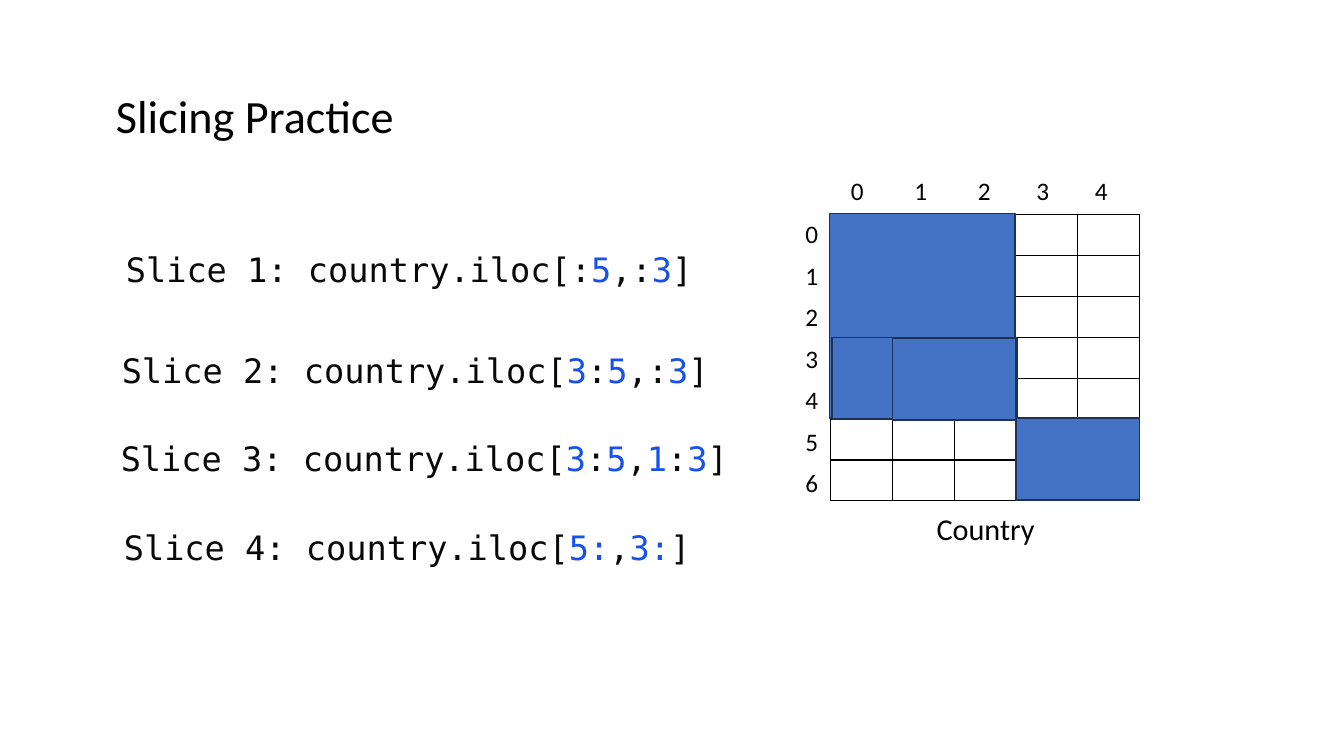
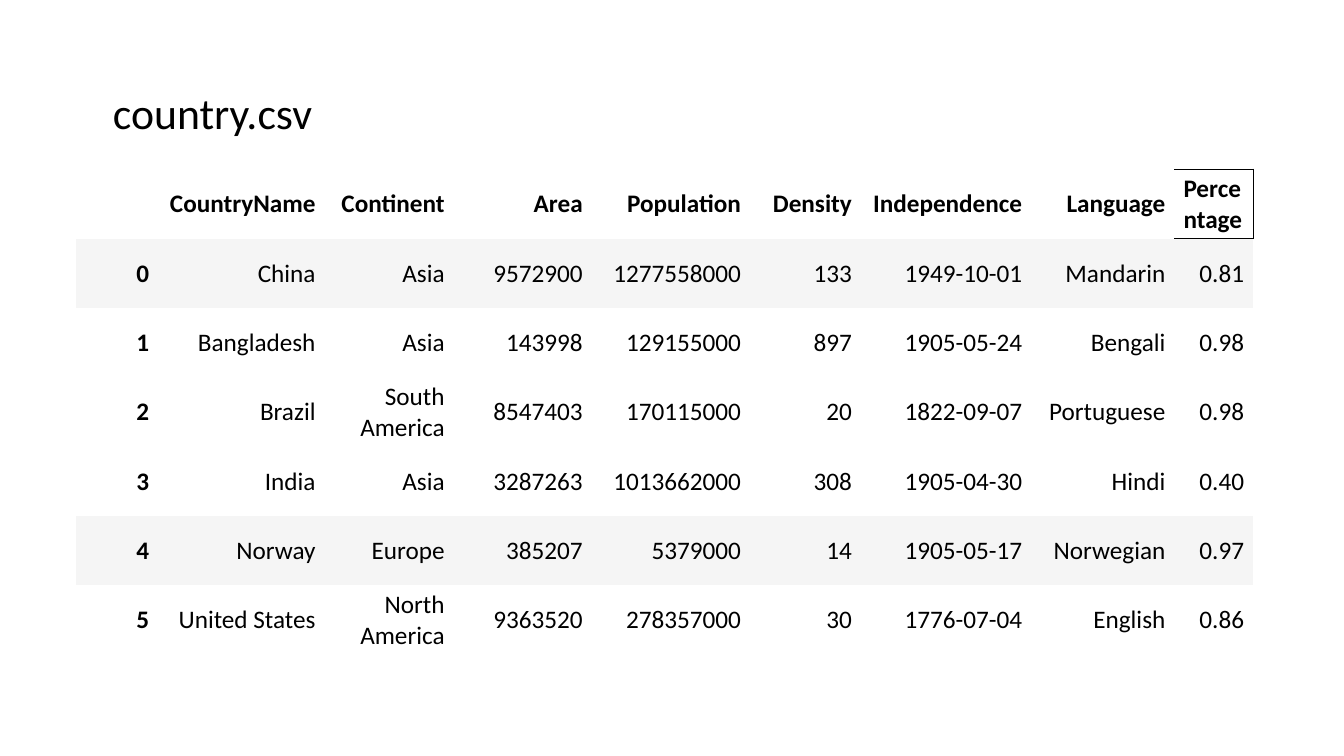
from lxml import etree
from pptx import Presentation
from pptx import util as u
from pptx.dml.color import RGBColor
from pptx.enum import shapes, text
from pptx.oxml import ns

W, H = 13.33, 7.5
HUES = {"ink": "000000", "code": "080808", "num": "1750EB",
        "block": "4472C4", "edge": "1E3256", "band": "F5F5F5"}
SANS, MONO = "Calibri", "DejaVu Sans Mono"
PLAIN = "{2D5ABB26-0587-4C30-8999-92F81FD0307C}"  # no style, no grid


def write(para, words, size, hue="ink", name=SANS, bold=False):
    """Add one formatted run to a paragraph."""
    run = para.add_run()
    run.text = words
    for key, val in {"size": u.Pt(size), "name": name, "bold": bold}.items():
        setattr(run.font, key, val)
    run.font.color.rgb = RGBColor.from_string(HUES[hue])


def border(cell, sides):
    """Draw thin lines on the given sides (L, R, T, B) of a cell."""
    props = cell._tc.get_or_add_tcPr()
    for spot, side in enumerate(sides):
        line = etree.Element(ns.qn("a:ln" + side), w=str(u.Pt(1)))
        fill = etree.SubElement(line, ns.qn("a:solidFill"))
        etree.SubElement(fill, ns.qn("a:srgbClr"), val=HUES["ink"])
        props.insert(spot, line)


deck = Presentation()
deck.slide_width, deck.slide_height = u.Inches(W), u.Inches(H)

# Titles: words, place, size, line spacing
heads = [
    ("Slicing Practice", (1.05, 0.97, 8.28, 0.53), 33, 0.7),
    ("country.csv", (1.02, 0.86, 9.41, 0.69), 31.2, 0.9),
]
pages = []
for words, place, size, lead in heads:
    page = deck.slides.add_slide(deck.slide_layouts[5])
    title = page.shapes.title
    for key, val in zip(("left", "top", "width", "height"), place):
        setattr(title, key, u.Inches(val))
    frame = title.text_frame
    frame.auto_size = text.MSO_AUTO_SIZE.NONE
    frame.vertical_anchor = text.MSO_ANCHOR.TOP
    para = frame.paragraphs[0]
    para.alignment, para.line_spacing = text.PP_ALIGN.LEFT, lead
    write(para, words, size)
    pages.append(page)

# Both tables: left, top, rows, column widths, row height
specs = [
    (8.24, 2.13, 7, [3.06 / 5] * 5, 2.84 / 7),
    (0.75, 1.68, 7, [0.82, 1.65, 1.28, 1.37, 1.57, 1.1, 1.69, 1.42, 0.78], 4.81 / 7),
]
grids = []
for page, (left, top, rows, wide, high) in zip(pages, specs):
    box = [u.Inches(n) for n in (left, top, sum(wide), rows * high)]
    grid = page.shapes.add_table(rows, len(wide), *box).table
    grid.first_row = grid.horz_banding = False
    grid._tbl.tblPr.find(ns.qn("a:tableStyleId")).text = PLAIN
    for col, width in zip(grid.columns, wide):
        col.width = u.Inches(width)
    for row in grid.rows:
        row.height = u.Inches(high)
    for cell in grid.iter_cells():
        cell.fill.background()
        cell.margin_left = cell.margin_right = u.Inches(0.09)
        cell.margin_top = cell.margin_bottom = u.Inches(0.04)
    grids.append(grid)

# Slicing practice: grid, blocks, labels and code
page = pages[0]
for cell in grids[0].iter_cells():
    border(cell, "LRTB")

# Blocks: column, row, columns across, rows down, small shift right and down
left, top, rows, wide, high = specs[0]
step = wide[0]
blocks = [(0, 0, 3, 5, -0.01, -0.01), (0, 3, 3, 2, 0.01, 0),
          (1, 3, 2, 2, 0, 0.01), (3, 5, 2, 2, 0, -0.01)]
for col, row, across, down, right, drop in blocks:
    box = [u.Inches(n) for n in (left + col * step + right, top + row * high + drop,
                                 across * step, down * high)]
    block = page.shapes.add_shape(shapes.MSO_SHAPE.RECTANGLE, *box)
    block.shadow.inherit = False
    block.fill.solid()
    block.fill.fore_color.rgb = RGBColor.from_string(HUES["block"])
    block.line.color.rgb = RGBColor.from_string(HUES["edge"])
    block.line.width = u.Pt(1)

# Text boxes: place, then paragraphs of pieces; every second piece is a number
notes = [
    ((9.19, 5.05, 1.22, 0.53), ["Country"], 21.6, SANS),
    ((7.89, 2.12, 0.35, 2.89), [str(n) for n in range(rows)], 18, SANS),
    ((8.34, 1.69, 2.87, 0.4), ["\t".join("01234")], 18, SANS),
]
slices = [(1.15, 2.42, ":|5|,:|3|]"), (1.11, 3.42, "|3|:|5|,:|3|]"),
          (1.1, 4.29, "|3|:|5|,|1|:|3|]"), (1.13, 5.18, "|5:|,|3:|]")]
for n, (x, y, part) in enumerate(slices, 1):
    notes.append(((x, y, 6.66, 0.91), [f"Slice {n}: country.iloc[{part}"], 24, MONO))

for place, lines, size, name in notes:
    frame = page.shapes.add_textbox(*[u.Inches(n) for n in place]).text_frame
    frame.word_wrap = True
    for n, line in enumerate(lines):
        para = frame.add_paragraph() if n else frame.paragraphs[0]
        if n:
            para.space_before = u.Pt(8)
        if line == "Country":
            para.line_spacing = 0.9
        if "\t" in line:
            tabs = etree.SubElement(para._p.get_or_add_pPr(), ns.qn("a:tabLst"))
            for stop in (0.63, 1.26, 1.84, 2.42):
                etree.SubElement(tabs, ns.qn("a:tab"), pos=str(u.Inches(stop)), algn="l")
        for k, piece in enumerate(line.split("|")):
            hue = "num" if k % 2 else "code" if name == MONO else "ink"
            if piece:
                write(para, piece, size, hue, name)

# Country data
data = [
    ["", "CountryName", "Continent", "Area", "Population", "Density",
     "Independence", "Language", "Percentage"],
    ["0", "China", "Asia", "9572900", "1277558000", "133", "1949-10-01", "Mandarin", "0.81"],
    ["1", "Bangladesh", "Asia", "143998", "129155000", "897", "1905-05-24", "Bengali", "0.98"],
    ["2", "Brazil", "South America", "8547403", "170115000", "20", "1822-09-07",
     "Portuguese", "0.98"],
    ["3", "India", "Asia", "3287263", "1013662000", "308", "1905-04-30", "Hindi", "0.40"],
    ["4", "Norway", "Europe", "385207", "5379000", "14", "1905-05-17", "Norwegian", "0.97"],
    ["5", "United States", "North America", "9363520", "278357000", "30", "1776-07-04",
     "English", "0.86"],
]
for r, line in enumerate(data):
    for c, words in enumerate(line):
        cell = grids[1].cell(r, c)
        if r in (1, 5):
            cell.fill.solid()
            cell.fill.fore_color.rgb = RGBColor.from_string(HUES["band"])
        para = cell.text_frame.paragraphs[0]
        if words == "Percentage":
            border(cell, "RTB")
        else:
            cell.vertical_anchor = text.MSO_ANCHOR.MIDDLE
            para.alignment = text.PP_ALIGN.RIGHT
        if words:
            write(para, words, 18, bold=r == 0 or c == 0)

deck.save("out.pptx")
